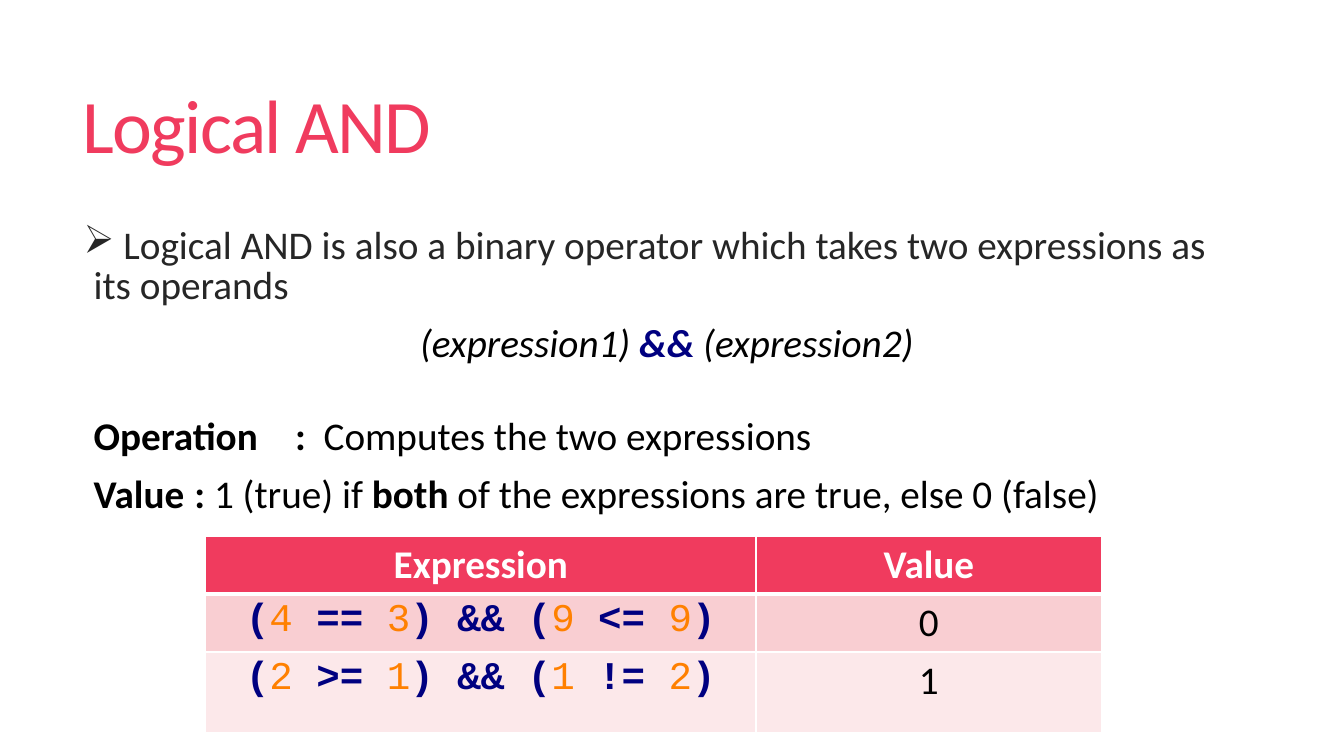
from itertools import groupby

from lxml.etree import SubElement
from pptx import Presentation
from pptx.dml.color import RGBColor
from pptx.enum.text import MSO_ANCHOR, PP_ALIGN as Align
from pptx.oxml.ns import qn
from pptx.util import Pt

ROSE = RGBColor(0xF0, 0x3B, 0x5E)
PINK = RGBColor(0xF9, 0xCE, 0xD2)
PALE = RGBColor(0xFC, 0xE8, 0xEA)
NAVY = RGBColor(0x00, 0x00, 0x80)
ORANGE = RGBColor(0xFF, 0x80, 0x00)
CHARCOAL = RGBColor(0x26, 0x26, 0x26)
BLACK = RGBColor(0x00, 0x00, 0x00)
WHITE = RGBColor(0xFF, 0xFF, 0xFF)

PLAIN = {"name": "Calibri", "size": Pt(28), "bold": False, "italic": False}
BOLD = {"bold": True}
ITALIC = {"italic": True}
OPERATOR = {"bold": True, "color": NAVY}
CODE = {"name": "Courier New"}


def add_span(para, text, color=BLACK, **style):
    """Add a run to a paragraph, with changes to the plain style."""
    span = para.add_run()
    span.text = text
    span.font.color.rgb = color
    for name, value in {**PLAIN, **style}.items():
        setattr(span.font, name, value)
    return span


def add_box(page, left, top, width, height, anchor=MSO_ANCHOR.TOP):
    """Add a wrapping text box and return its text frame."""
    box = page.shapes.add_textbox(Pt(left), Pt(top), Pt(width), Pt(height))
    box.text_frame.word_wrap = True
    box.text_frame.vertical_anchor = anchor
    return box.text_frame


def add_title(page, text):
    """Add the slide title with tightened letters."""
    para = add_box(page, 51.8, 28, 848, 130.4, MSO_ANCHOR.MIDDLE).paragraphs[0]
    para.line_spacing = 0.85
    span = add_span(para, text, ROSE, size=Pt(54))
    span.font._element.set("spc", "-120")


def fill_para(para, spans, align=Align.LEFT, before=13, margin=7.2, bullet=None):
    """Fill a body paragraph; a bullet hangs in its left margin."""
    para.alignment = align
    para.line_spacing = 0.85
    para.space_before = Pt(before)
    properties = para._p.get_or_add_pPr()
    properties.set("marL", str(Pt(margin)))
    if bullet:
        properties.set("indent", str(-Pt(margin)))
        SubElement(properties, qn("a:buChar"), char=bullet)
    for text, style in spans:
        add_span(para, text, **style)


def add_body(page):
    """Add the definition, the syntax and the meaning of the operator."""
    frame = add_box(page, 52.6, 159, 847.4, 317.5)
    lines = [
        ([(" Logical AND is also a binary operator which takes two "
           "expressions as its operands", {"color": CHARCOAL})],
         {"bullet": "\u27a2"}),
        ([("(expression1) ", ITALIC), ("&& ", {**OPERATOR, **ITALIC}),
          ("(expression2)", ITALIC)],
         {"align": Align.CENTER, "margin": 0}),
        ([("Operation \t:  ", BOLD), ("Computes the two expressions", {})],
         {"before": 37.4}),
        ([("Value \t: ", BOLD), ("1 (true) if ", {}), ("both", BOLD),
          (" of the expressions are true, else 0 (false)", {})], {}),
    ]
    for index, (spans, layout) in enumerate(lines):
        para = frame.add_paragraph() if index else frame.paragraphs[0]
        fill_para(para, spans, **layout)


def code_spans(code):
    """Split code into orange numbers and bold navy operators."""
    return [("".join(chars), {**CODE, **({"color": ORANGE} if number else OPERATOR)})
            for number, chars in groupby(code, str.isdigit)]


def set_borders(cell, bottom):
    """Draw white cell borders, with the given bottom width."""
    properties = cell._tc.get_or_add_tcPr()
    widths = {"lnL": 1, "lnR": 1, "lnT": 1, "lnB": bottom}
    for index, (side, width) in enumerate(widths.items()):
        line = SubElement(properties, qn(f"a:{side}"), w=str(Pt(width)))
        fill = SubElement(line, qn("a:solidFill"))
        SubElement(fill, qn("a:srgbClr"), val=str(WHITE))
        properties.insert(index, line)


def fill_cell(cell, spans, color, bottom=1):
    """Fill a table cell with centred text on a coloured ground."""
    cell.fill.solid()
    cell.fill.fore_color.rgb = color
    set_borders(cell, bottom)
    para = cell.text_frame.paragraphs[0]
    para.alignment = Align.CENTER
    for text, style in spans:
        add_span(para, text, **style)


def add_examples(page):
    """Add the table of example expressions and their values."""
    widths, heights = (393.1, 247), (41.4, 41.4, 57.6)
    table = page.shapes.add_table(3, 2, Pt(146.9), Pt(383), Pt(sum(widths)),
                                  Pt(sum(heights))).table
    for column, width in zip(table.columns, widths):
        column.width = Pt(width)
    for row, height in zip(table.rows, heights):
        row.height = Pt(height)
    heading = {"bold": True, "color": WHITE}
    for column, text in enumerate(("Expression", "Value")):
        fill_cell(table.cell(0, column), [(text, heading)], ROSE, bottom=3)
    examples = [("(4 == 3) && (9 <= 9)", "0", PINK),
                ("(2 >= 1) && (1 != 2)", "1", PALE)]
    for row, (code, value, color) in enumerate(examples, start=1):
        fill_cell(table.cell(row, 0), code_spans(code), color)
        fill_cell(table.cell(row, 1), [(value, {})], color)


def main():
    """Build the slide and save the deck."""
    deck = Presentation()
    deck.slide_width, deck.slide_height = Pt(960), Pt(540)
    page = deck.slides.add_slide(deck.slide_layouts[6])
    add_title(page, "Logical AND")
    add_body(page)
    add_examples(page)
    deck.save("out.pptx")


main()
